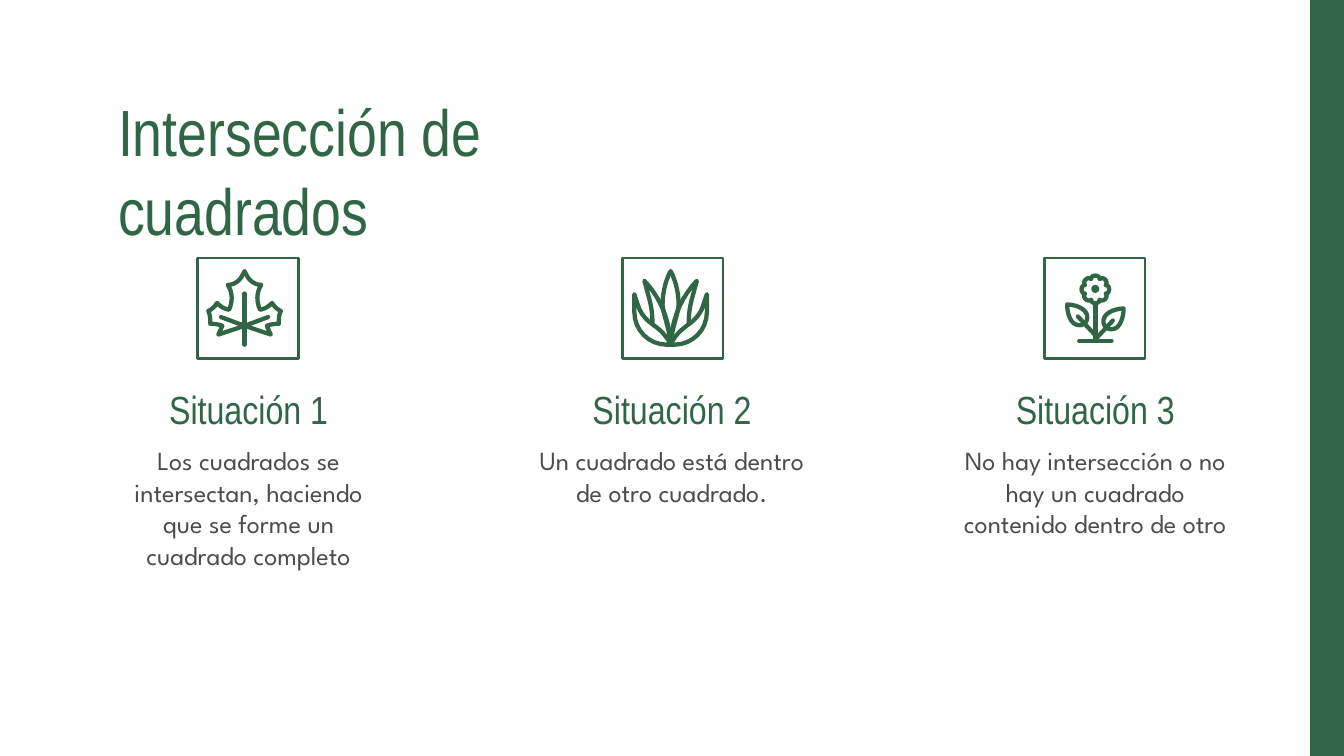
import math
import pptx
import pptx.util
import pptx.dml.color
import pptx.enum.shapes
import pptx.enum.text
from lxml import etree
from pptx.util import Inches, Pt

COLORS = {"green": "306645", "gray": "4C4C4C", "white": "FFFFFF"}
HEADING_FONT, BODY_FONT = "Arial Narrow", "League Spartan"

TITLE = "Intersección de cuadrados"
SITUATIONS = [
    ("Situación 1", "Los cuadrados se intersectan, haciendo que se forme un cuadrado completo"),
    ("Situación 2", "Un cuadrado está dentro de otro cuadrado."),
    ("Situación 3", "No hay intersección o no hay un cuadrado contenido dentro de otro"),
]
COLUMN_LEFT, COLUMN_STEP, COLUMN_WIDTH = 0.76, 3.15, 2.18
FRAME_LEFTS, FRAME_TOP, FRAME_SIZE = (1.47, 4.63, 7.77), 1.92, 0.75


# Icon strokes, in hundredths of an inch from the icon's top centre.
# A stroke is a start point, then lines (x, y) or cubic curves (6 numbers).
def mirror(stroke, rise=0):
    return [tuple(-v if i % 2 == 0 else v - rise for i, v in enumerate(step)) for step in stroke]


def both_sides(strokes, rise=0):
    return strokes + [mirror(stroke, rise) for stroke in strokes]


MAPLE_LEAF = both_sides([
    [(0, 2), (2.5, 6.5), (5, 10, 8.5, 12, 12.5, 12), (8.5, 18, 9, 25, 11.5, 30.5),
     (15, 30, 18, 28, 20.5, 25.5), (22, 28, 24, 30, 27, 31.5),
     (25.5, 34, 25.5, 38, 25.5, 41), (22, 41, 19, 41.5, 16.5, 42.5), (19.5, 49), (0, 42.5)],
    [(0, 42.5), (17.5, 36)],
]) + [[(0, 18.5), (0, 56.5)]]

SUCCULENT = both_sides([
    [(0, 2), (2, 5, 6, 15, 6, 27), (5, 36, 1, 44, 0, 56)],
    [(0, 54), (2, 33, 10, 19, 19.5, 9), (16.5, 20), (14, 29, 13.5, 34, 13.5, 41)],
    [(0, 56.5), (3, 56.5), (16, 56.5, 27, 46, 27, 32), (27, 19), (24, 28),
     (22, 34, 18, 38, 14, 41), (7, 46, 4, 49, 0, 56)],
])

BLOOM_CENTER, PETALS = 12.3, 8


def bloom_point(radius, degrees):
    angle = math.radians(degrees)
    return radius * math.cos(angle), BLOOM_CENTER + radius * math.sin(angle)


petal_angles = [k * 360 / PETALS for k in range(PETALS)]
bloom = [bloom_point(8.3, -22.5)] + [
    bloom_point(11.6, a - 16) + bloom_point(11.6, a + 16) + bloom_point(8.3, a + 22.5)
    for a in petal_angles]
FLOWER = both_sides([
    [(21, 26.5), (12, 27, 6, 31, 6, 36), (6, 40, 9, 42, 12, 42), (19, 42, 21, 32, 21, 26.5)],
    [(0, 49.5), (13, 35.5)],
], rise=3) + [bloom, [(0, 23), (0, 50.5)], [(-12, 50.5), (12, 50.5)]]

ICONS = [(MAPLE_LEAF, 1.82, 2), (SUCCULENT, 4.99, 2), (FLOWER, 8.15, 2.03)]

# Widescreen page, 16:9
presentation = pptx.Presentation()
presentation.slide_width = Inches(10)
presentation.slide_height = Inches(10 * 9 / 16)
slide = presentation.slides.add_slide(presentation.slide_layouts[6])


def color(key):
    return pptx.dml.color.RGBColor.from_string(COLORS[key])


slide.background.fill.solid()
slide.background.fill.fore_color.rgb = color("white")


def style(shape, fill=None, line_width=None):
    shape.shadow.inherit = False
    if fill:
        shape.fill.solid()
        shape.fill.fore_color.rgb = color(fill)
    else:
        shape.fill.background()
    if line_width:
        shape.line.color.rgb = color("green")
        shape.line.width = Pt(line_width)
    else:
        shape.line.fill.background()


def add_preset(kind, left, top, width, height, **look):
    shape = slide.shapes.add_shape(kind, *map(Inches, (left, top, width, height)))
    style(shape, **look)


def add_text(text, left, top, width, height, size, font, ink, centered=True, right_inset=0.1):
    box = slide.shapes.add_textbox(*map(Inches, (left, top, width, height)))
    frame = box.text_frame
    frame.word_wrap = True
    frame.margin_left = frame.margin_top = frame.margin_bottom = Inches(0.1)
    frame.margin_right = Inches(right_inset)
    paragraph = frame.paragraphs[0]
    align = pptx.enum.text.PP_ALIGN
    paragraph.alignment = align.CENTER if centered else align.LEFT
    run = paragraph.add_run()
    run.text = text
    run.font.size, run.font.name = Pt(size), font
    run.font.color.rgb = color(ink)


def flatten(stroke, pieces=8):
    points = [stroke[0]]
    for step in stroke[1:]:
        if len(step) == 2:
            points.append(step)
            continue
        corners = [points[-1], step[:2], step[2:4], step[4:]]
        for t in (k / pieces for k in range(1, pieces + 1)):
            weights = ((1 - t) ** 3, 3 * t * (1 - t) ** 2, 3 * t * t * (1 - t), t ** 3)
            points.append(tuple(sum(w * c[axis] for w, c in zip(weights, corners))
                                for axis in (0, 1)))
    return points


def add_icon(strokes, center, top):
    builder = None
    for stroke in strokes:
        points = [(Inches(center + x / 100), Inches(top + y / 100)) for x, y in flatten(stroke)]
        if builder is None:
            builder = slide.shapes.build_freeform(*points[0])
        else:
            builder.move_to(*points[0])
        builder.add_line_segments(points[1:], close=False)
    icon = builder.convert_to_shape()
    style(icon, line_width=2.3)
    outline = icon.line._get_or_add_ln()
    outline.set("cap", "rnd")
    etree.SubElement(outline, pptx.oxml.ns.qn("a:round"))


# Side band and title
RECTANGLE = pptx.enum.shapes.MSO_SHAPE.RECTANGLE
add_preset(RECTANGLE, 9.75, -0.06, 0.25, 5.72, fill="green", line_width=0.75)
# The wider right inset keeps the title on two lines
add_text(TITLE, 0.78, 0.58, 4.85, 0.63, 35, HEADING_FONT, "green",
         centered=False, right_inset=0.3)

# One column per situation: framed icon, heading, description
for column, (heading, description) in enumerate(SITUATIONS):
    left = COLUMN_LEFT + column * COLUMN_STEP
    add_preset(RECTANGLE, FRAME_LEFTS[column], FRAME_TOP, FRAME_SIZE, FRAME_SIZE, line_width=1.5)
    add_icon(*ICONS[column])
    add_text(heading, left, 2.77, COLUMN_WIDTH, 0.45, 21, HEADING_FONT, "green")
    add_text(description, left, 3.21, COLUMN_WIDTH, 0.88, 14, BODY_FONT, "gray")

# Heart of the flower
add_preset(pptx.enum.shapes.MSO_SHAPE.OVAL, 8.12, 2.12, 0.06, 0.06, fill="green")

presentation.save("out.pptx")
